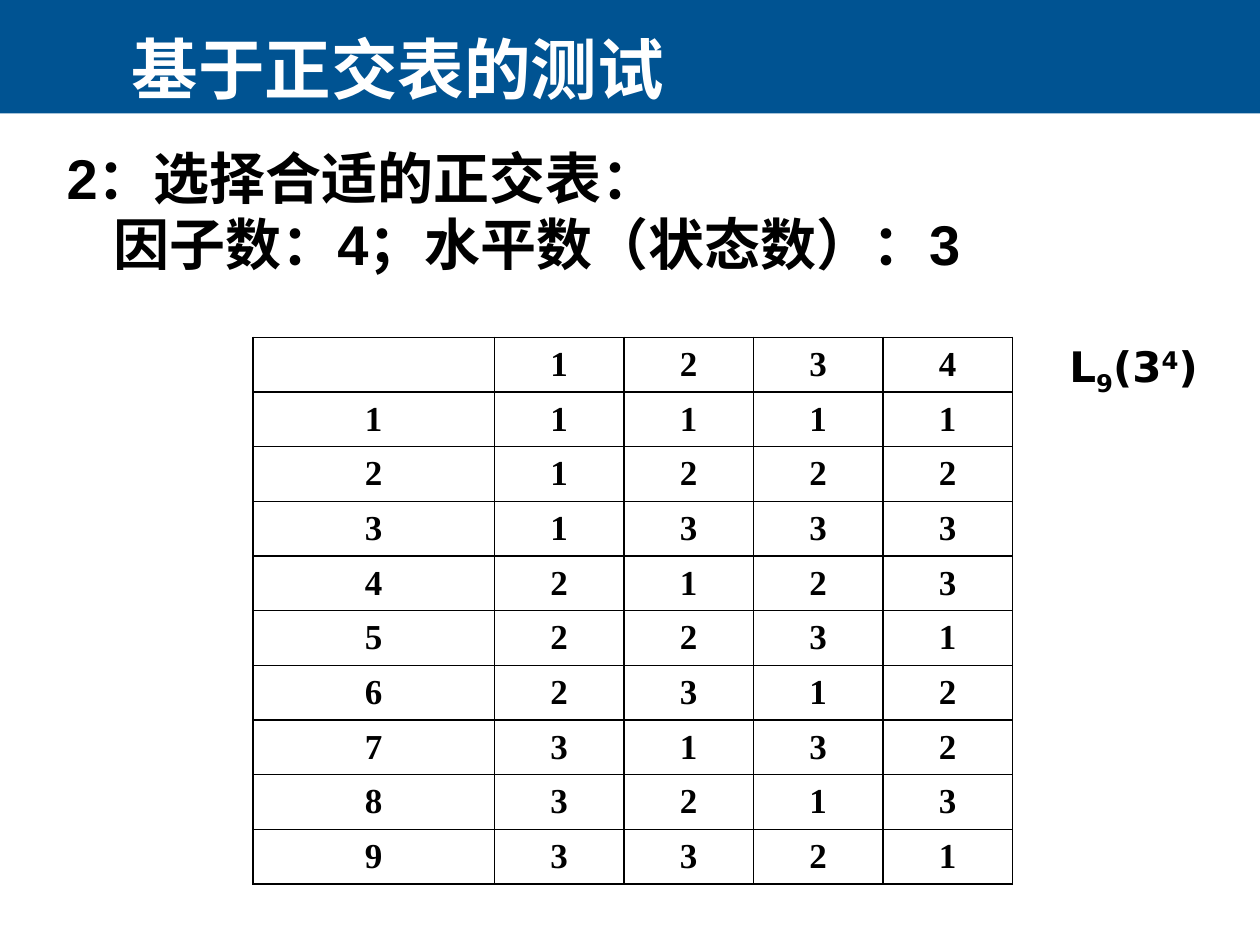
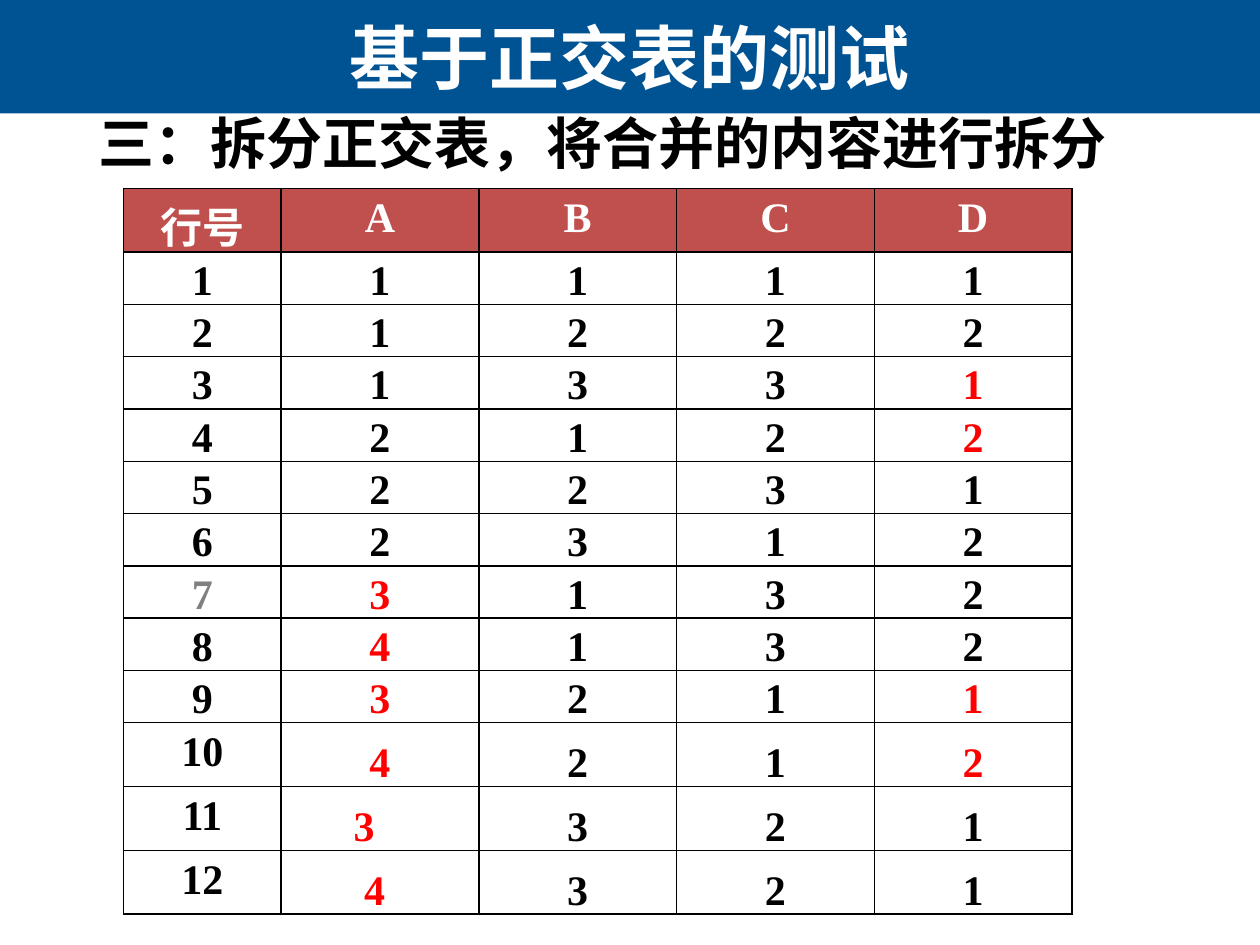
from dataclasses import dataclass, field

import lxml.etree
import pptx
import pptx.dml.color
import pptx.enum.shapes
import pptx.enum.text
import pptx.oxml.ns
import pptx.util

Pt = pptx.util.Pt
Anchor = pptx.enum.text.MSO_ANCHOR
Align = pptx.enum.text.PP_ALIGN
qn = pptx.oxml.ns.qn

COLOURS = {
    "band": "005392",
    "white": "FFFFFF",
    "black": "000000",
    "header": "C0504D",
    "split": "FF0000",
    "muted": "808080",
}
CJK_FONT = "Noto Sans CJK SC"
TITLE = "基于正交表的测试"


@dataclass
class Box:
    left: float
    top: float
    width: float
    height: float

    def lengths(self) -> tuple:
        return Pt(self.left), Pt(self.top), Pt(self.width), Pt(self.height)


@dataclass
class TextStyle:
    size: float
    font: str
    colour: str = "black"
    align: Align = Align.LEFT
    indent: float = 0


@dataclass
class CellStyle:
    anchor: Anchor
    margins: tuple  # left, top, right, bottom
    size: float
    colour: str = "black"
    fill: str = "white"


@dataclass
class Grid:
    left: float
    top: float
    columns: list
    heights: list
    rows: list
    body: CellStyle
    special: dict = field(default_factory=dict)  # (row, column) -> CellStyle
    colours: dict = field(default_factory=dict)  # (row, column) -> colour name
    nudges: dict = field(default_factory=dict)  # (row, column) -> extra right margin


def rgb(name: str) -> pptx.dml.color.RGBColor:
    return pptx.dml.color.RGBColor.from_string(COLOURS[name])


def style_paragraph(paragraph, style: TextStyle) -> None:
    paragraph.alignment = style.align
    if style.indent:
        properties = paragraph._p.get_or_add_pPr()
        properties.set("marL", str(Pt(style.indent)))
        properties.set("indent", "0")
    font = paragraph.font
    font.size = Pt(style.size)
    font.name = style.font
    font.bold = True
    font.color.rgb = rgb(style.colour)


def set_title(slide, box: Box, anchor: Anchor, style: TextStyle) -> None:
    title = slide.shapes.title
    title.left, title.top, title.width, title.height = box.lengths()
    frame = title.text_frame
    frame.text = TITLE
    frame.word_wrap = True
    frame.auto_size = pptx.enum.text.MSO_AUTO_SIZE.NONE
    frame.vertical_anchor = anchor
    style_paragraph(frame.paragraphs[0], style)


def add_body(slide, box: Box, lines: list) -> None:
    frame = slide.shapes.add_textbox(*box.lengths()).text_frame
    frame.word_wrap = True
    for number, (text, indent) in enumerate(lines):
        paragraph = frame.add_paragraph() if number else frame.paragraphs[0]
        paragraph.text = text
        paragraph.line_spacing = 0.9
        if number:
            paragraph.space_before = Pt(2.9)
        style_paragraph(paragraph, TextStyle(32, "Arial", indent=indent))


def add_array_name(slide, box: Box) -> None:
    frame = slide.shapes.add_textbox(*box.lengths()).text_frame
    frame.word_wrap = True
    paragraph = frame.paragraphs[0]
    for text, baseline in [("L", 0), ("9", -25), ("(3", 0), ("4", 30), (")", 0)]:
        run = paragraph.add_run()
        run.text = text
        if baseline:
            run._r.get_or_add_rPr().set("baseline", str(baseline * 1000))
    style_paragraph(paragraph, TextStyle(24, "DejaVu Sans"))


def add_borders(cell) -> None:
    properties = cell._tc.get_or_add_tcPr()
    for position, side in enumerate(["lnL", "lnR", "lnT", "lnB"]):
        line = lxml.etree.Element(qn(f"a:{side}"), w=str(Pt(1)))
        fill = lxml.etree.SubElement(line, qn("a:solidFill"))
        lxml.etree.SubElement(fill, qn("a:srgbClr"), val=COLOURS["black"])
        properties.insert(position, line)


def add_grid(slide, grid: Grid) -> None:
    box = Box(grid.left, grid.top, sum(grid.columns), sum(grid.heights))
    table = slide.shapes.add_table(
        len(grid.rows), len(grid.columns), *box.lengths()).table
    table.first_row = table.horz_banding = False
    for column, width in zip(table.columns, grid.columns):
        column.width = Pt(width)
    for row, height in zip(table.rows, grid.heights):
        row.height = Pt(height)
    for row, values in enumerate(grid.rows):
        for column, value in enumerate(values):
            place = row, column
            style = grid.special.get(place, grid.body)
            cell = table.cell(row, column)
            cell.text = value
            cell.vertical_anchor = style.anchor
            left, top, right, bottom = style.margins
            cell.margin_left, cell.margin_top = Pt(left), Pt(top)
            cell.margin_right = Pt(right + grid.nudges.get(place, 0))
            cell.margin_bottom = Pt(bottom)
            cell.fill.solid()
            cell.fill.fore_color.rgb = rgb(style.fill)
            add_borders(cell)
            colour = grid.colours.get(place, style.colour)
            style_paragraph(
                cell.text_frame.paragraphs[0],
                TextStyle(style.size, "Times New Roman", colour, Align.CENTER))


def add_band(slide, layout) -> None:
    """Draw the title band and hand it to the layout, behind every title."""
    band = slide.shapes.add_shape(
        pptx.enum.shapes.MSO_SHAPE.RECTANGLE, *Box(0, 0, 720, 64.8).lengths())
    band.shadow.inherit = False
    band.fill.solid()
    band.fill.fore_color.rgb = rgb("band")
    band.line.fill.background()
    layout.shapes.element.insert(2, band.element)


def set_chinese_font(slide) -> None:
    for latin in list(slide.element.iter(qn("a:latin"))):
        latin.addnext(lxml.etree.Element(qn("a:ea"), typeface=CJK_FONT))


def build_selection(slide) -> None:
    set_title(slide, Box(60, -30, 630, 95.5), Anchor.BOTTOM,
              TextStyle(38, CJK_FONT, "white", indent=8))
    add_body(slide, Box(31, 82.8, 648, 356.4), [
        ("2：选择合适的正交表：", 0),
        ("因子数：4；水平数（状态数）：3", 26.5),
    ])
    add_array_name(slide, Box(604, 190.8, 104.4, 36))
    runs = ["1111", "1222", "1333", "2123", "2231", "2312", "3132", "3213", "3321"]
    add_grid(slide, Grid(
        144.5, 192.8, [138] + [74] * 4, [31.25] * 10,
        [["", *"1234"]] + [[str(n), *run] for n, run in enumerate(runs, 1)],
        CellStyle(Anchor.MIDDLE, (7.2, 3.6, 7.2, 3.6), 20)))


def build_split(slide) -> None:
    set_title(slide, Box(-0.5, 0, 720.5, 64.8), Anchor.MIDDLE,
              TextStyle(40, CJK_FONT, "white", Align.CENTER))
    add_body(slide, Box(49, 62.6, 627.8, 451.4),
             [("三：拆分正交表，将合并的内容进行拆分", 0)])
    runs = ["1111", "1222", "1331", "2122", "2231", "2312",
            "3132", "4132", "3211", "4212", "3321", "4321"]
    wide = (5, 3.6, 5, 3.6)
    header = CellStyle(Anchor.TOP, wide, 24, "white", "header")
    late_number = CellStyle(Anchor.TOP, wide, 24)
    split_places = [(3, 4), (4, 4), (9, 4), (10, 4)] + [(row, 1) for row in range(7, 13)]
    add_grid(slide, Grid(
        70.6, 107.6, [90] + [113] * 4, [36.5] + [29.9] * 9 + [36.5] * 3,
        [["行号", *"ABCD"]] + [[str(n), *run] for n, run in enumerate(runs, 1)],
        CellStyle(Anchor.BOTTOM, (0.7, 0.7, 0.7, 0), 24),
        special={(0, column): header for column in range(5)}
        | {(row, 0): late_number for row in (10, 11, 12)},
        colours={place: "split" for place in split_places} | {(7, 0): "muted"},
        nudges={(11, 1): 18, (12, 1): 6}))


def main() -> None:
    deck = pptx.Presentation()
    deck.slide_width, deck.slide_height = Pt(720), Pt(540)
    layout = deck.slide_layouts.get_by_name("Title Only")
    for number, build in enumerate([build_selection, build_split]):
        slide = deck.slides.add_slide(layout)
        if number == 0:
            add_band(slide, layout)
        build(slide)
        set_chinese_font(slide)
    deck.save("out.pptx")


if __name__ == "__main__":
    main()
